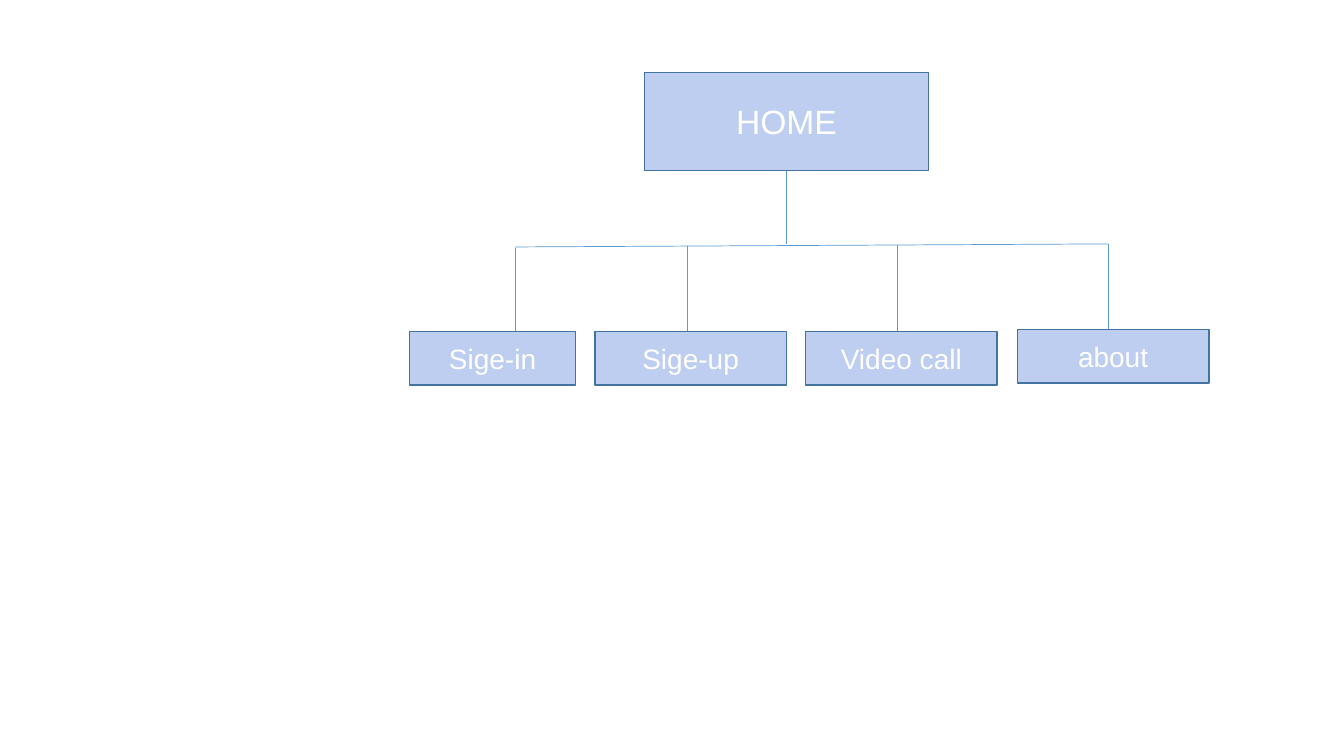
"""Build a site map slide: a home page linked to four child pages."""
import pptx
import pptx.dml.color
import pptx.enum.shapes
import pptx.enum.text
import pptx.oxml
import pptx.oxml.ns
import pptx.util
from pptx.util import Inches

HOME = ("HOME", 6.39, 0.72, 2.82, 0.97, 24)
PAGE_HEIGHT, PAGE_SIZE = 0.53, 20
PAGES = [
    ("Sige-in", 4.06, 3.29, 1.65, 5.11, 2.46),
    ("Sige-up", 5.9, 3.29, 1.9, 6.82, 2.44),
    ("Video call", 7.99, 3.29, 1.9, 8.9, 2.43),
    ("about", 10.09, 3.27, 1.9, 10.99, 2.42),
]
TRUNK = (7.8, 1.7, 7.8, 2.42)
BRANCH = (5.11, 2.45, 10.99, 2.42)
FONT = "Arial"
BOX_FILL, BOX_LINE, LINK_LINE, TEXT = "BECEF1", "43739E", "5B9BD5", "FFFFFF"


def paint(color_format, color):
    color_format.rgb = pptx.dml.color.RGBColor.from_string(color)


def add_box(slide, label, left, top, width, height, size):
    shape = slide.shapes.add_shape(
        pptx.enum.shapes.MSO_SHAPE.RECTANGLE,
        Inches(left), Inches(top), Inches(width), Inches(height))
    shape.shadow.inherit = False
    shape.fill.solid()
    paint(shape.fill.fore_color, BOX_FILL)
    paint(shape.line.color, BOX_LINE)
    shape.line.width = pptx.util.Pt(1)
    shape.text_frame.text = label
    shape.text_frame.vertical_anchor = pptx.enum.text.MSO_ANCHOR.MIDDLE
    paragraph = shape.text_frame.paragraphs[0]
    paragraph.alignment = pptx.enum.text.PP_ALIGN.CENTER
    paragraph._p.get_or_add_pPr().set("rtl", "1")
    font = paragraph.runs[0].font
    font.name, font.size = FONT, pptx.util.Pt(size)
    paint(font.color, TEXT)


def add_link(slide, *ends):
    connector = slide.shapes.add_connector(
        pptx.enum.shapes.MSO_CONNECTOR.STRAIGHT, *map(Inches, ends))
    paint(connector.line.color, LINK_LINE)
    connector.line.width = pptx.util.Pt(0.5)
    properties = connector._element.spPr
    properties.append(pptx.oxml.parse_xml(
        f'<a:effectLst {pptx.oxml.ns.nsdecls("a")}/>'))


def main():
    presentation = pptx.Presentation()
    presentation.slide_width = Inches(13.33)
    presentation.slide_height = Inches(7.5)
    slide = presentation.slides.add_slide(presentation.slide_layouts[6])
    add_box(slide, *HOME)
    add_link(slide, *TRUNK)
    add_link(slide, *BRANCH)
    for label, left, top, width, link_x, link_top in PAGES:
        add_link(slide, link_x, link_top, link_x, top)
        add_box(slide, label, left, top, width, PAGE_HEIGHT, PAGE_SIZE)
    presentation.save("out.pptx")


if __name__ == "__main__":
    main()
